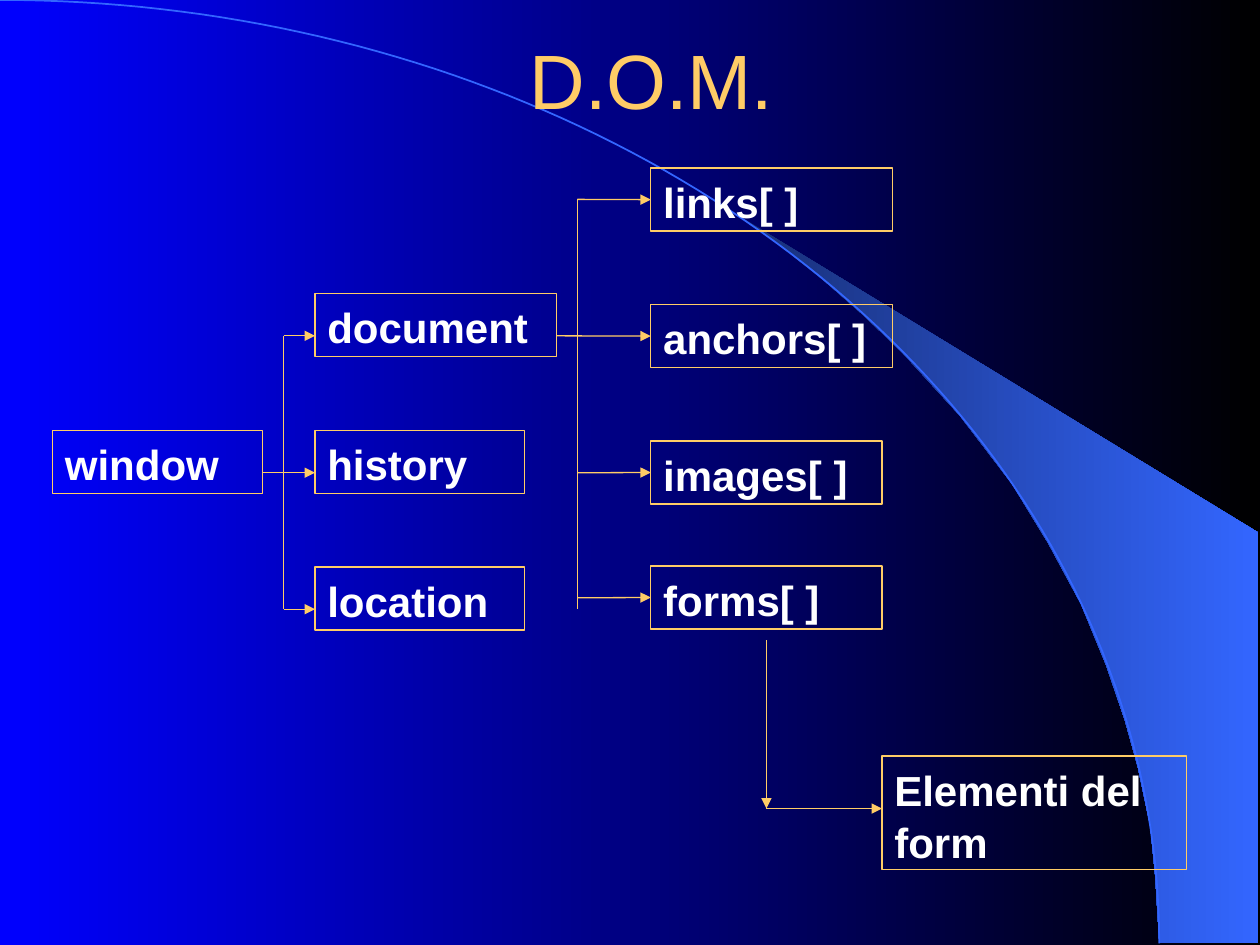
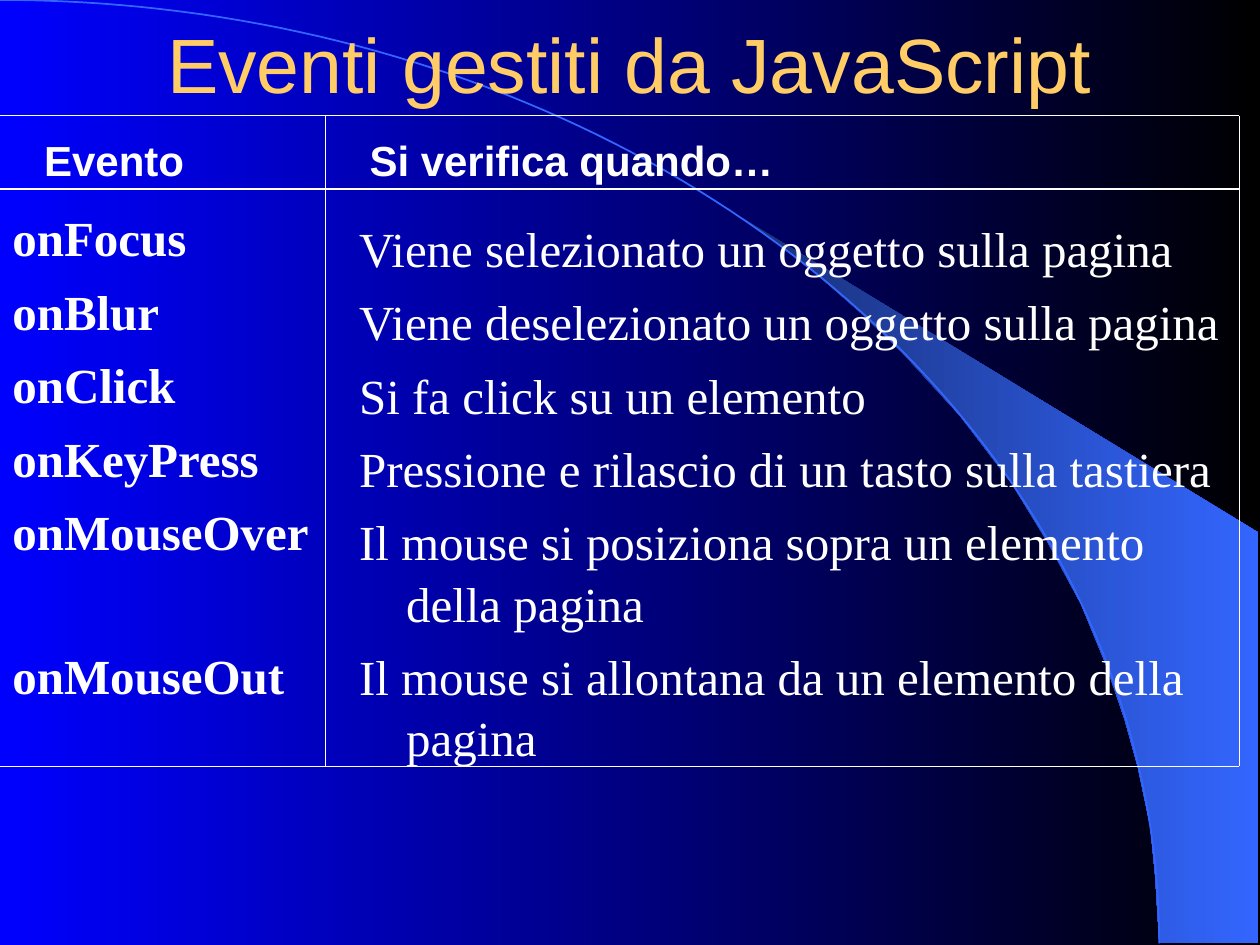
"""Build two slides on the browser object model and JavaScript events."""
from math import cos, pi, sin

from lxml import etree
from pptx import Presentation
from pptx.dml.color import RGBColor
from pptx.enum.shapes import MSO_CONNECTOR, MSO_SHAPE
from pptx.enum.text import MSO_ANCHOR, MSO_AUTO_SIZE, PP_ALIGN
from pptx.oxml.ns import qn
from pptx.util import Cm, Pt

STRAIGHT = MSO_CONNECTOR.STRAIGHT
RECTANGLE = MSO_SHAPE.RECTANGLE
TOP, MIDDLE = MSO_ANCHOR.TOP, MSO_ANCHOR.MIDDLE
GROW = MSO_AUTO_SIZE.SHAPE_TO_FIT_TEXT
LEFT, CENTER = PP_ALIGN.LEFT, PP_ALIGN.CENTER

SANS, SERIF = "Arial", "Times New Roman"
GOLD, WHITE = "FFCC66", "FFFFFF"
BLUE, BLACK = "0000FF", "000000"
NAVY, SKY = "182F76", "3366FF"


def write(shape, lines, size=24, font=SANS, bold=True, before=15, hanging=0):
    """Fill a shape with white, left-aligned paragraphs."""
    frame = shape.text_frame
    frame.word_wrap = True
    frame.vertical_anchor = TOP
    frame.text = "\n".join(lines)
    for paragraph in frame.paragraphs:
        paragraph.alignment = LEFT
        paragraph.space_before = Pt(before)
        paragraph.line_spacing = 1.04
        paragraph.font.size = Pt(size)
        paragraph.font.name = font
        paragraph.font.bold = bold
        paragraph.font.color.rgb = RGBColor.from_string(WHITE)
        if hanging:
            properties = paragraph._p.get_or_add_pPr()
            properties.set("marL", str(Cm(hanging)))
            properties.set("indent", str(-Cm(hanging)))
    return frame


def draw_line(slide, x1, y1, x2, y2, color=GOLD, arrow=False):
    """Draw a thin straight line, with an arrowhead at its end on request."""
    line = slide.shapes.add_connector(STRAIGHT, Cm(x1), Cm(y1), Cm(x2), Cm(y2))
    line.line.color.rgb = RGBColor.from_string(color)
    line.line.width = Pt(0.75)
    if arrow:
        outline = line.line._get_or_add_ln()
        etree.SubElement(outline, qn("a:tailEnd"), type="triangle")
    etree.SubElement(line._element.spPr, qn("a:effectLst"))
    return line


prs = Presentation()
prs.slide_width, prs.slide_height = Cm(25.4), Cm(19.05)
layout = prs.slide_layouts[5]
dom, events = [prs.slides.add_slide(layout) for _ in range(2)]

blade_points = [
    (23.37, 19), (25.37, 19.02), (25.37, 10.74), (14.96, 4.39), (15.85, 5.05),
    (16.59, 5.64), (17.4, 6.35), (18.19, 7.11), (19.35, 8.38), (20.4, 9.75),
    (21.13, 10.95), (21.79, 12.17), (22.3, 13.41), (22.68, 14.53),
    (22.94, 15.47), (23.19, 16.66), (23.29, 17.68),
]
ARC_WIDTH, ARC_HEIGHT, ARC_STEPS = 23.37, 19.02, 90
angles = [step * pi / 2 / ARC_STEPS for step in range(ARC_STEPS + 1)]
arc_points = [(ARC_WIDTH * sin(a), ARC_HEIGHT * (1 - cos(a))) for a in angles]

decorations = []
for points, closed in ((blade_points, True), (arc_points, False)):
    (start_x, start_y), *others = points
    builder = dom.shapes.build_freeform(Cm(start_x), Cm(start_y))
    builder.add_line_segments([(Cm(x), Cm(y)) for x, y in others], close=closed)
    decoration = builder.convert_to_shape()
    decoration.shadow.inherit = False
    decorations.append(decoration)
blade, arc = decorations
blade.line.fill.background()
arc.fill.background()
arc.line.color.rgb = RGBColor.from_string(SKY)
arc.line.width = Pt(1)

for fill, colors in ((prs.slide_master.background.fill, (BLUE, BLACK)),
                     (blade.fill, (NAVY, SKY))):
    fill.gradient()
    fill.gradient_angle = 0
    for stop, color in zip(fill.gradient_stops, colors):
        stop.color.rgb = RGBColor.from_string(color)
for position, decoration in enumerate(decorations, 2):
    layout.shapes.element.insert(position, decoration._element)

for slide, heading, left, height in (
        (dom, "D.O.M.", 2.34, 3.18),
        (events, "Eventi gestiti da JavaScript", 1.9, 2.54)):
    title = slide.shapes.title
    title.left, title.top = Cm(left), Cm(0)
    title.width, title.height = Cm(21.59), Cm(height)
    title.text_frame.text = heading
    title.text_frame.vertical_anchor = MIDDLE
    paragraph = title.text_frame.paragraphs[0]
    paragraph.alignment = CENTER
    paragraph.font.size = Pt(44)
    paragraph.font.name = SANS
    paragraph.font.color.rgb = RGBColor.from_string(GOLD)

nodes = {}
for name, x, y, width, height in (
        ("window", 1.06, 8.68, 4.23, 1.27),
        ("location", 6.35, 11.43, 4.23, 1.27),
        ("history", 6.35, 8.68, 4.23, 1.27),
        ("document", 6.35, 5.92, 4.87, 1.27),
        ("images[ ]", 13.12, 8.89, 4.66, 1.27),
        ("anchors[ ]", 13.12, 6.14, 4.87, 1.27),
        ("links[ ]", 13.12, 3.39, 4.87, 1.27),
        ("forms[ ]", 13.12, 11.41, 4.66, 1.27),
        ("Elementi del form", 17.78, 15.24, 6.14, 2.29)):
    node = dom.shapes.add_shape(RECTANGLE, Cm(x), Cm(y), Cm(width), Cm(height))
    node.shadow.inherit = False
    node.fill.background()
    node.line.color.rgb = RGBColor.from_string(GOLD)
    node.line.width = Pt(0.75)
    write(node, [name]).auto_size = GROW
    nodes[name] = node

for x1, y1, x2, y2, arrow in (
        (15.45, 12.91, 15.45, 16.3, True),
        (15.45, 16.3, 17.78, 16.3, True),
        (5.29, 9.53, 6.35, 9.53, True),
        (5.72, 6.77, 6.35, 6.77, True),
        (5.72, 12.28, 6.35, 12.28, True),
        (5.72, 6.77, 5.72, 12.28, False),
        (11.64, 4.02, 11.64, 12.28, False)):
    draw_line(dom, x1, y1, x2, y2, arrow=arrow)

for name, x, y in (("links[ ]", 11.64, 4.02), ("anchors[ ]", 11.22, 6.77),
                   ("images[ ]", 11.64, 9.53), ("forms[ ]", 11.64, 12.05)):
    branch = draw_line(dom, x, y, 13.12, y, arrow=True)
    branch.end_connect(nodes[name], 1)

event_names = ["onFocus", "onBlur", "onClick", "onKeyPress", "onMouseOver",
               "onMouseOut"]
event_meanings = [
    "Viene selezionato un oggetto sulla pagina",
    "Viene deselezionato un oggetto sulla pagina",
    "Si fa click su un elemento",
    "Pressione e rilascio di un tasto sulla tastiera",
    "Il mouse si posiziona sopra un elemento della pagina",
    "Il mouse si allontana da un elemento della pagina",
]
for lines, x, y, width, bold in ((event_names, 0, 4.02, 6.99, True),
                                 (event_meanings, 6.99, 4.23, 18.2, False)):
    column = events.shapes.add_textbox(Cm(x), Cm(y), Cm(width), Cm(11.43))
    column_text = write(column, lines, 28, SERIF, bold, before=7, hanging=0.95)
    if lines is event_names:
        column_text.paragraphs[-1].space_before = Pt(47.5)

for label, x, width in (("Evento", 0.64, 6.35),
                        ("Si verifica quando…", 7.2, 13.12)):
    header = events.shapes.add_textbox(Cm(x), Cm(2.54), Cm(width), Cm(1.27))
    write(header, [label]).auto_size = GROW

GRID_TOP, GRID_BOTTOM, GRID_RIGHT = 2.33, 15.45, 24.98
for y in (3.81, GRID_BOTTOM, GRID_TOP):
    draw_line(events, 0, y, GRID_RIGHT, y, WHITE)
for x in (GRID_RIGHT, 6.56):
    draw_line(events, x, GRID_TOP, x, GRID_BOTTOM, WHITE)

prs.save("out.pptx")
